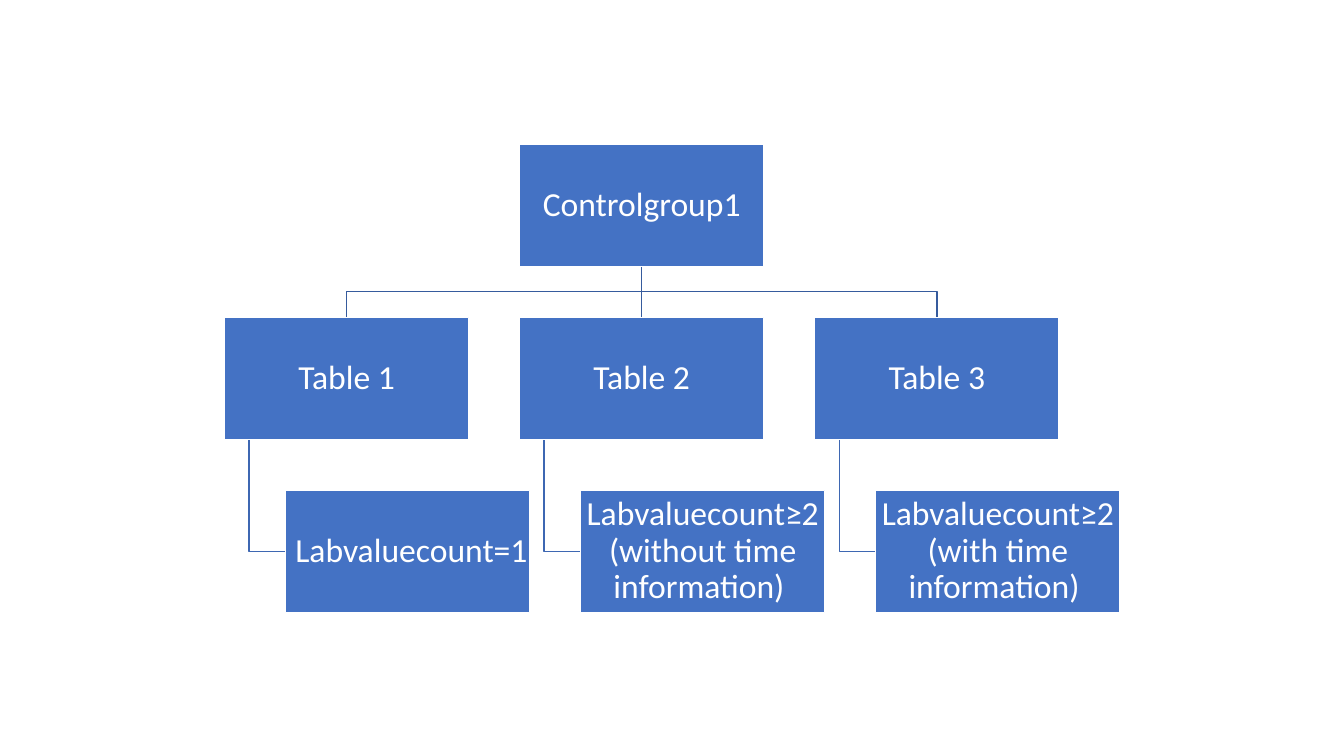
from lxml import etree
from pptx import Presentation
from pptx.dml.color import RGBColor
from pptx.enum.shapes import MSO_CONNECTOR, MSO_SHAPE
from pptx.enum.text import MSO_ANCHOR, PP_ALIGN
from pptx.oxml.ns import qn
from pptx.util import Pt

RECTANGLE = MSO_SHAPE.RECTANGLE
STRAIGHT = MSO_CONNECTOR.STRAIGHT
MIDDLE = MSO_ANCHOR.MIDDLE
CENTER = PP_ALIGN.CENTER

COLORS = {"box": "4472C4", "white": "FFFFFF", "branch": "365B9D", "stem": "3E67B2"}

BOX_WIDTH, BOX_HEIGHT = 174.4, 87.2
LEFT, TOP = 160.4, 103
COLUMN_PITCH, ROW_PITCH = 210.8, 123.6
LEAF_INDENT = 43.6
STEM_INDENT = 17.44

ROOT = "Controlgroup1"
TABLES = [
    ("Table 1", " Labvaluecount=1"),
    ("Table 2", "Labvaluecount≥2 (without time information) "),
    ("Table 3", "Labvaluecount≥2 (with time information) "),
]


def set_format(target, values):
    for name, value in values.items():
        setattr(target, name, value)


class OrgChart:
    """Draws the boxes and lines of a hierarchy on one slide."""

    frame_format = {
        "word_wrap": True, "vertical_anchor": MIDDLE,
        "margin_left": Pt(1.2), "margin_right": Pt(1.2),
        "margin_top": Pt(1.2), "margin_bottom": Pt(1.2),
    }
    para_format = {"alignment": CENTER, "line_spacing": 0.9}
    font_format = {"name": "Calibri", "size": Pt(24)}
    line_width = Pt(1)

    def __init__(self, slide):
        self.shapes = slide.shapes

    def style_line(self, line, color):
        line.color.rgb = RGBColor.from_string(COLORS[color])
        line.width = self.line_width

    def box(self, left, top, text):
        box = self.shapes.add_shape(
            RECTANGLE, Pt(left), Pt(top), Pt(BOX_WIDTH), Pt(BOX_HEIGHT))
        box.shadow.inherit = False
        box.fill.solid()
        box.fill.fore_color.rgb = RGBColor.from_string(COLORS["box"])
        self.style_line(box.line, "white")
        set_format(box.text_frame, self.frame_format)
        para = box.text_frame.paragraphs[0]
        set_format(para, self.para_format)
        span = para.add_run()
        span.text = text
        set_format(span.font, self.font_format)
        span.font.color.rgb = RGBColor.from_string(COLORS["white"])

    def bent_line(self, points, color):
        start, *rest = [(Pt(x), Pt(y)) for x, y in points]
        builder = self.shapes.build_freeform(*start)
        builder.add_line_segments(rest, close=False)
        bend = builder.convert_to_shape()
        bend.shadow.inherit = False
        bend.fill.background()
        self.style_line(bend.line, color)

    def straight_line(self, start, end, color):
        connector = self.shapes.add_connector(
            STRAIGHT, *(Pt(length) for length in (*start, *end)))
        self.style_line(connector.line, color)
        etree.SubElement(connector._element.spPr, qn("a:effectLst"))


def main():
    deck = Presentation()
    set_format(deck, {"slide_width": Pt(960), "slide_height": Pt(540)})
    chart = OrgChart(deck.slides.add_slide(deck.slide_layouts[6]))

    root_left = LEFT + COLUMN_PITCH
    root_center = root_left + BOX_WIDTH / 2
    root_bottom = TOP + BOX_HEIGHT
    table_top = TOP + ROW_PITCH
    leaf_top = table_top + ROW_PITCH
    branch_y = (root_bottom + table_top) / 2
    columns = [LEFT + COLUMN_PITCH * index for index in range(len(TABLES))]

    for left in columns:
        center = left + BOX_WIDTH / 2
        start, end = (root_center, root_bottom), (center, table_top)
        if left == root_left:
            chart.straight_line(start, end, "branch")
        else:
            chart.bent_line(
                [start, (root_center, branch_y), (center, branch_y), end], "branch")
        stem_x = left + STEM_INDENT
        leaf_middle = leaf_top + BOX_HEIGHT / 2
        chart.bent_line(
            [(stem_x, table_top + BOX_HEIGHT), (stem_x, leaf_middle),
             (left + LEAF_INDENT, leaf_middle)], "stem")

    chart.box(root_left, TOP, ROOT)
    for left, (table, leaf) in zip(columns, TABLES):
        chart.box(left, table_top, table)
        chart.box(left + LEAF_INDENT, leaf_top, leaf)

    deck.save("out.pptx")


if __name__ == "__main__":
    main()
